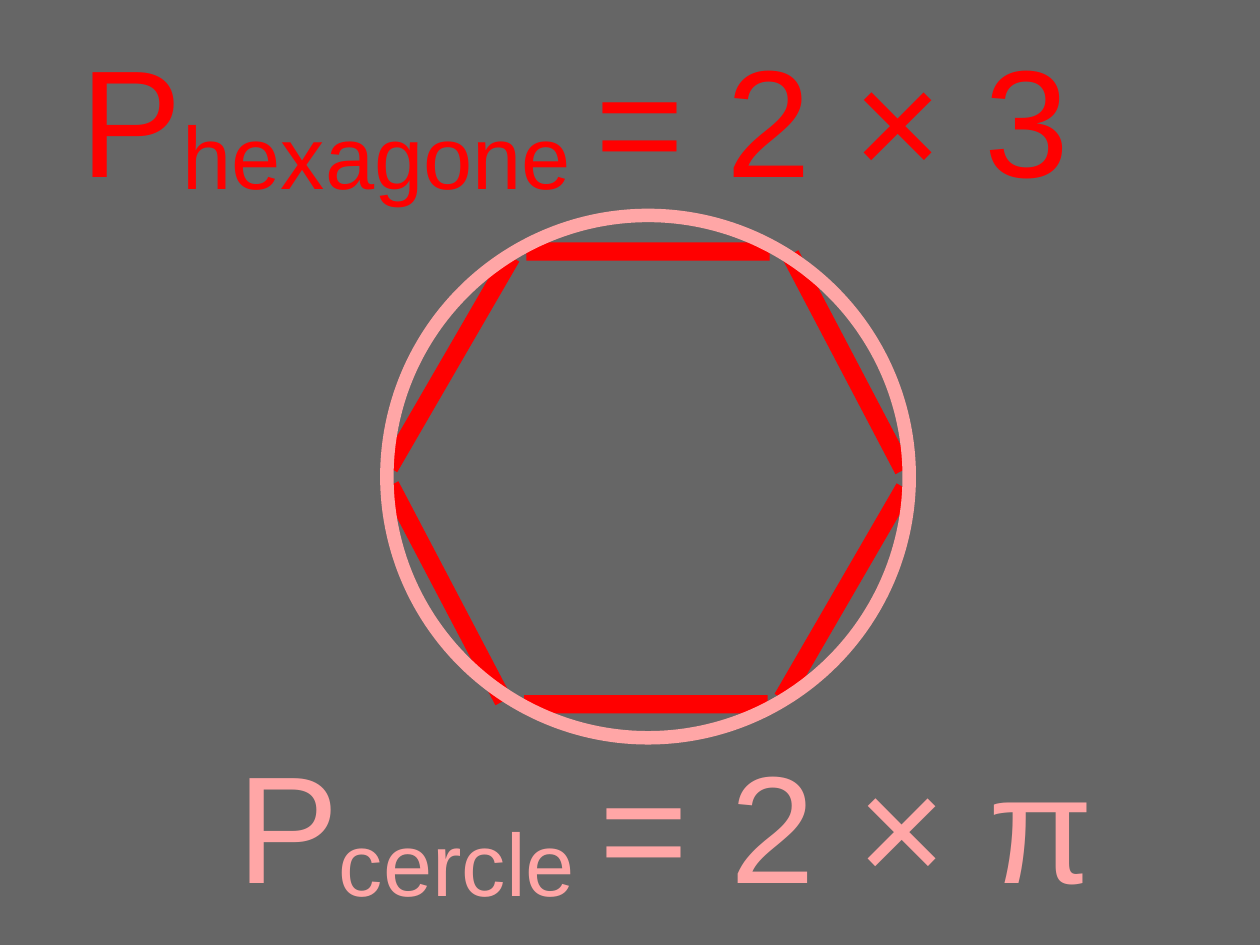
from pptx import Presentation
from pptx.dml.color import RGBColor
from pptx.enum.shapes import MSO_SHAPE as SHAPE
from pptx.enum.text import MSO_ANCHOR, MSO_AUTO_SIZE, PP_ALIGN
from pptx.util import Cm, Inches, Pt

GREY = RGBColor(0x66, 0x66, 0x66)
RED = RGBColor(0xFF, 0x00, 0x00)
PINK = RGBColor(0xFF, 0xA6, 0xA6)

WIDTH, HEIGHT = Cm(28), Cm(21)
FORMULA_SIZE = (9.13, 2.98)
SUBSCRIPT = "-8000"
# left, top, colour, (text, is subscript) runs
FORMULAS = [
    (0.47, -0.47, RED, [("P", False), ("hexagone ", True), ("= 2 × 3", False)]),
    (1.26, 5.71, PINK, [("P", False), ("cercle ", True), ("= 2 × π", False)]),
]

HEXAGON_CENTRE = (5.66, 4.18)
SIDE_LENGTH, SIDE_THICKNESS = 2.13, 0.16
# offset of the side's middle from the centre, rotation
UPPER_SIDES = [(1.75, -1.01, 62.3), (0.01, -1.98, 0), (-1.72, -1.01, 120.1)]
CIRCLE_CENTRE, CIRCLE_DIAMETER = (5.67, 4.17), 4.57


def add_plain_shape(slide, kind, box, fill=None, line=None):
    sp = slide.shapes.add_shape(kind, *box)
    sp.shadow.inherit = False
    if fill is None:
        sp.fill.background()
    else:
        sp.fill.solid()
        sp.fill.fore_color.rgb = fill
    if line is None:
        sp.line.fill.background()
    else:
        sp.line.color.rgb = line
        sp.line.width = Pt(8.5)
    return sp


def centred_box(x, y, width, height):
    return map(Inches, (x - width / 2, y - height / 2, width, height))


def write_formula(sp, left, top, color, runs):
    sp.left, sp.top = Inches(left), Inches(top)
    sp.width, sp.height = map(Inches, FORMULA_SIZE)
    tf = sp.text_frame
    tf.margin_left = tf.margin_right = tf.margin_top = tf.margin_bottom = 0
    tf.word_wrap = True
    tf.auto_size = MSO_AUTO_SIZE.NONE
    tf.vertical_anchor = MSO_ANCHOR.MIDDLE
    p = tf.paragraphs[0]
    p.alignment = PP_ALIGN.CENTER
    p.space_before = Pt(0)
    for text, is_subscript in runs:
        r = p.add_run()
        r.text = text
        r.font.name, r.font.size = "Arial", Pt(96)
        r.font.color.rgb = color
        if is_subscript:
            r.font._element.set("baseline", SUBSCRIPT)


def main():
    prs = Presentation()
    prs.slide_width, prs.slide_height = WIDTH, HEIGHT
    slide = prs.slides.add_slide(prs.slide_layouts[0])

    for sp, formula in zip(slide.placeholders, FORMULAS):
        write_formula(sp, *formula)

    backdrop = add_plain_shape(slide, SHAPE.RECTANGLE, (0, 0, WIDTH, HEIGHT),
                               fill=GREY)
    slide.shapes[0]._element.addprevious(backdrop._element)

    # The lower sides mirror the upper ones through the centre.
    cx, cy = HEXAGON_CENTRE
    for sign, turn in ((1, 0), (-1, 180)):
        for dx, dy, angle in UPPER_SIDES:
            box = centred_box(cx + sign * dx, cy + sign * dy,
                              SIDE_LENGTH, SIDE_THICKNESS)
            side = add_plain_shape(slide, SHAPE.RECTANGLE, box, fill=RED)
            side.rotation = angle + turn

    circle_box = centred_box(*CIRCLE_CENTRE, CIRCLE_DIAMETER, CIRCLE_DIAMETER)
    add_plain_shape(slide, SHAPE.OVAL, circle_box, line=PINK)
    prs.save("out.pptx")


if __name__ == "__main__":
    main()
